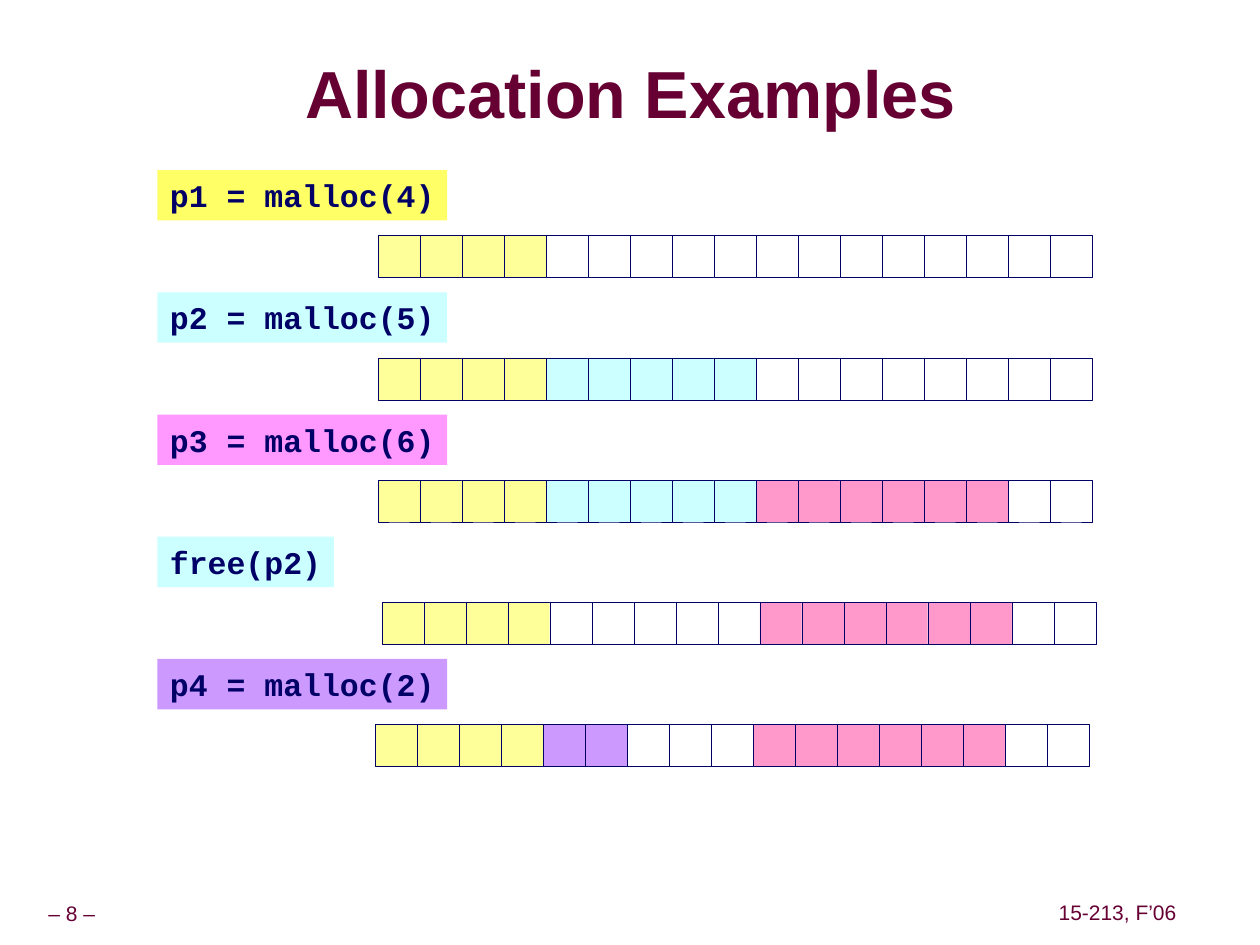
from pptx import Presentation
from pptx.dml.color import RGBColor
from pptx.enum.shapes import MSO_SHAPE
from pptx.enum.text import MSO_ANCHOR, MSO_AUTO_SIZE, PP_ALIGN
from pptx.oxml.xmlchemy import OxmlElement
from pptx.util import Inches, Pt

RECT = MSO_SHAPE.RECTANGLE
MIDDLE, TOP = MSO_ANCHOR.MIDDLE, MSO_ANCHOR.TOP
GROW = MSO_AUTO_SIZE.SHAPE_TO_FIT_TEXT
LEFT, CENTER = PP_ALIGN.LEFT, PP_ALIGN.CENTER

WINE, NAVY = "660033", "000066"
CELL, PITCH = 1 / 3, 0.97
FILLS = {"1": "FFFF99", "2": "CCFFFF", "3": "FF99CC", "4": "CC99FF", ".": "FFFFFF"}
STEPS = [
    ("p1 = malloc(4)", 2.3, "FFFF66", 3, "1111............."),
    ("p2 = malloc(5)", 2.3, "CCFFFF", 3, "111122222........"),
    ("p3 = malloc(6)", 2.3, "FF99FF", 3, "111122222333333.."),
    ("free(p2)", 1.4, "CCFFFF", 3.03, "1111.....333333.."),
    ("p4 = malloc(2)", 2.3, "CC99FF", 2.98, "111144...333333.."),
]


def color(code):
    """Turn a hex string into a colour."""
    return RGBColor.from_string(code)


class Deck:
    """Holds the style and the current slide."""

    def __init__(self):
        self.prs = Presentation()
        self.prs.slide_width, self.prs.slide_height = Inches(10), Inches(7.5)
        self.slide = self.prs.slides.add_slide(self.prs.slide_layouts[6])

    def style(self, shape, text, size, ink, font="Arial", bold=False,
              align=CENTER, anchor=MIDDLE, side=0.05, edge=0.05, lead=0.9):
        """Set styled text in a shape."""
        frame = shape.text_frame
        frame.text = text
        frame.word_wrap = False
        frame.vertical_anchor = anchor
        frame.margin_left = frame.margin_right = Inches(side)
        frame.margin_top = frame.margin_bottom = Inches(edge)
        para = frame.paragraphs[0]
        para.alignment, para.line_spacing = align, lead
        run = para.runs[0]
        run.font.name, run.font.size, run.font.bold = font, Pt(size), bold
        run.font.color.rgb = color(ink)

    def text(self, left, top, width, height):
        """Add an empty text box."""
        return self.slide.shapes.add_textbox(
            Inches(left), Inches(top), Inches(width), Inches(height))

    def title(self, text):
        """Add the heading with its text shadow."""
        box = self.text(1.47, 0.46, 7.07, 0.63)
        self.style(box, text, 38, WINE, bold=True, side=0, edge=0, lead=0.87)
        box.text_frame.word_wrap = True
        effect = OxmlElement("a:effectLst")
        shade = OxmlElement("a:outerShdw")
        shade.set("dist", "50800")
        shade.set("dir", "2700000")
        tint = OxmlElement("a:srgbClr")
        tint.set("val", "969696")
        shade.append(tint)
        effect.append(shade)
        box.element.xpath(".//a:rPr/a:solidFill")[0].addnext(effect)

    def footer(self, left, top, width, text):
        """Add a small footer text."""
        box = self.text(left, top, width, 0.28)
        self.style(box, text, 12, WINE)
        box.text_frame.auto_size = GROW

    def rect(self, left, top, width, height, fill, line=None):
        """Add a filled rectangle with an optional outline."""
        shape = self.slide.shapes.add_shape(
            RECT, Inches(left), Inches(top), Inches(width), Inches(height))
        shape.shadow.inherit = False
        shape.fill.solid()
        shape.fill.fore_color.rgb = color(fill)
        if line:
            shape.line.color.rgb = color(line)
            shape.line.width = Pt(0.25)
        else:
            shape.line.fill.background()
        return shape

    def label(self, top, width, fill, text):
        """Add a code label."""
        shape = self.rect(1.25, top, width, 0.4, fill)
        self.style(shape, text, 18, NAVY, "Courier New", True,
                   LEFT, TOP, side=0.1, lead=1.0)
        shape.text_frame.auto_size = GROW

    def heap(self, left, top, cells):
        """Add a row of memory cells."""
        for col, owner in enumerate(cells):
            self.rect(left + col * CELL, top, CELL, CELL, FILLS[owner], NAVY)


def main():
    """Build and save the slide."""
    deck = Deck()
    deck.footer(0, 7.12, 1.14, "– 8 –")
    deck.footer(8.35, 7.11, 1.04, "15-213, F’06")
    deck.title("Allocation Examples")
    for row, (code, width, fill, left, cells) in enumerate(STEPS):
        top = 1.35 + row * PITCH
        deck.heap(left, top + 0.52, cells)
        deck.label(top, width, fill, code)
    deck.prs.save("out.pptx")


if __name__ == "__main__":
    main()
